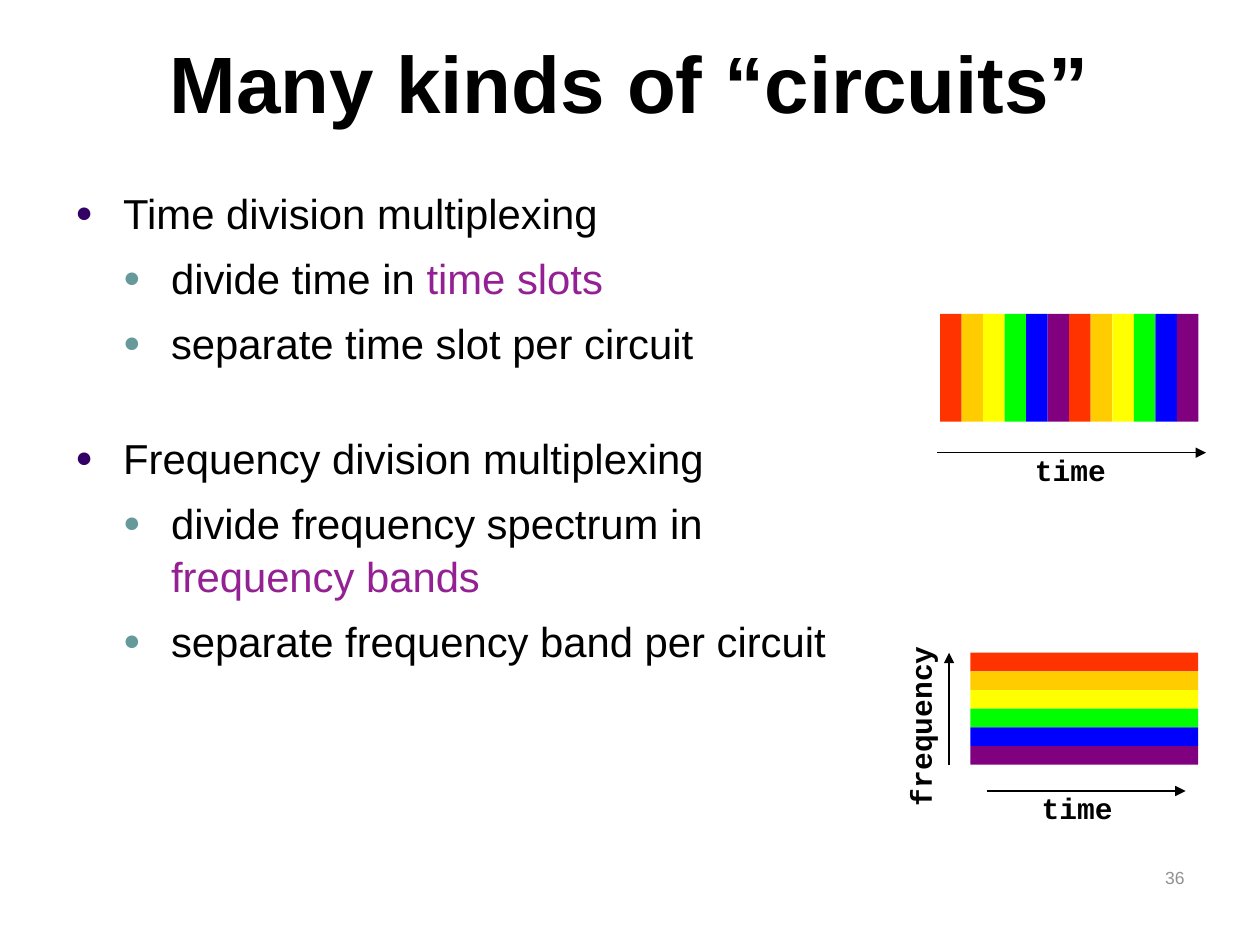
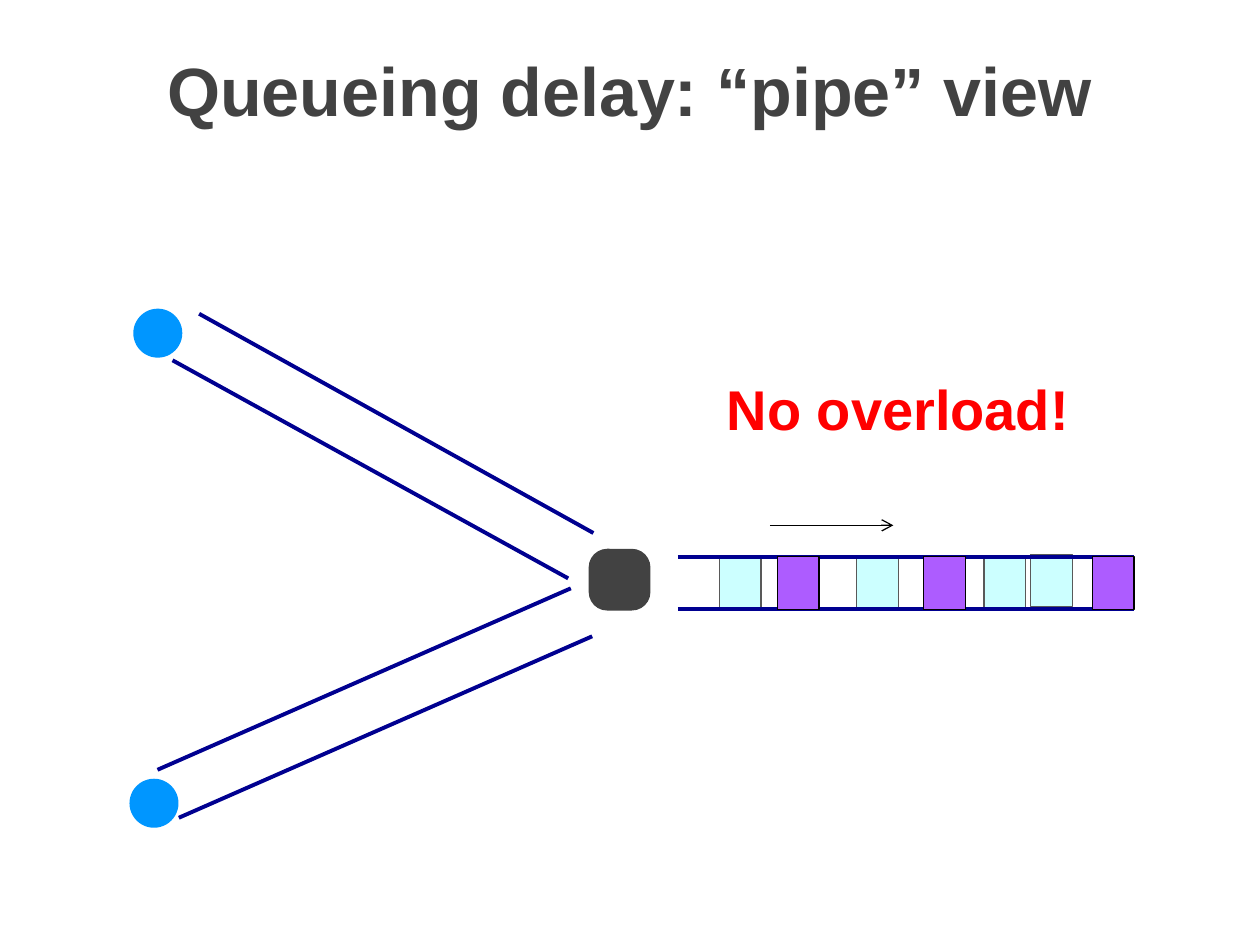
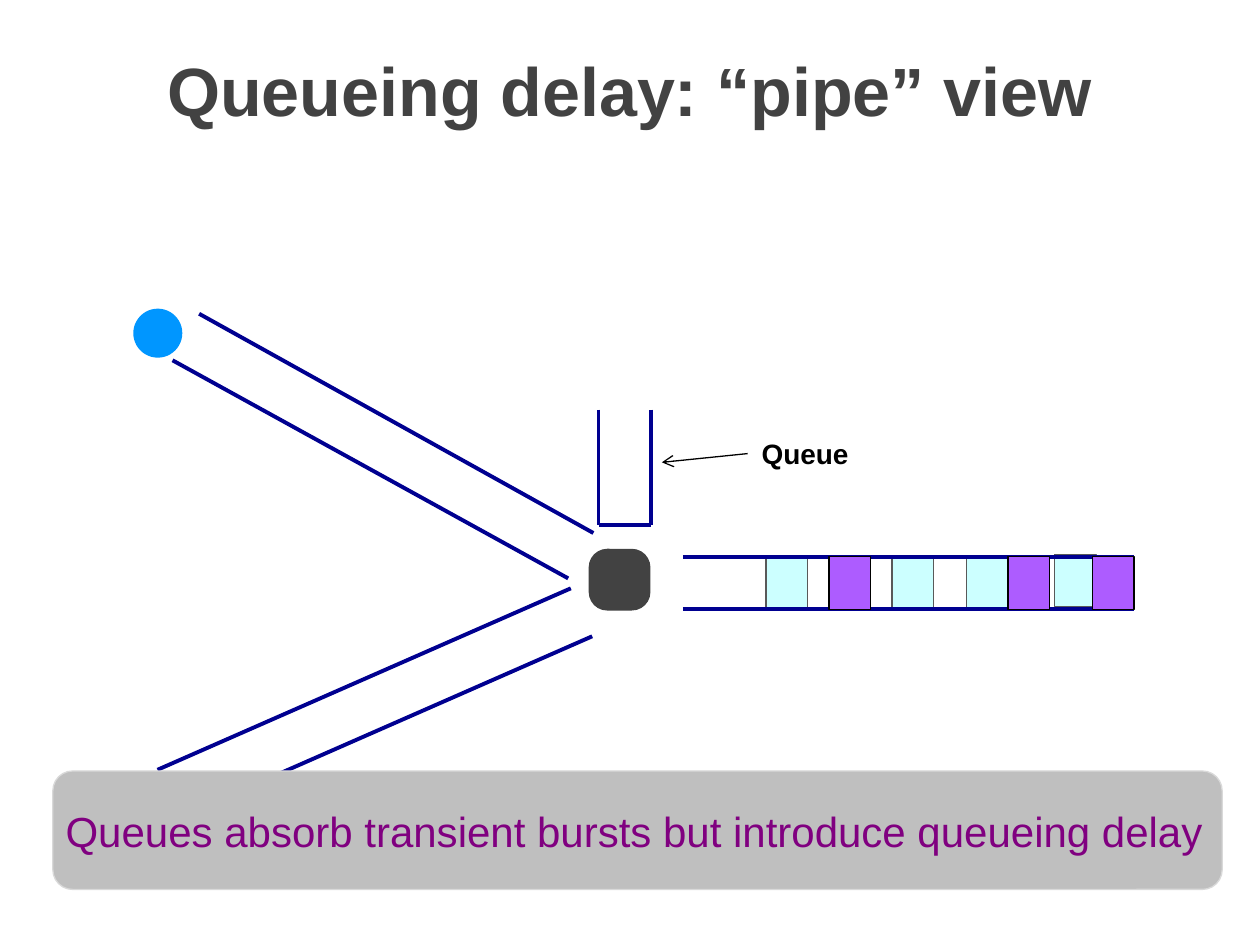
from lxml import etree
from pptx import Presentation
from pptx import util as u
from pptx.dml.color import RGBColor
from pptx.enum import shapes, text
from pptx.oxml.ns import qn

Pt = u.Pt
SHAPE = shapes.MSO_SHAPE
ALIGN = text.PP_ALIGN

# Shared look
BLACK = RGBColor(0x00, 0x00, 0x00)
CHARCOAL = RGBColor(0x42, 0x42, 0x42)
NUMBER_GRAY = RGBColor(0x91, 0x91, 0x91)
TERM_PURPLE = RGBColor(0x94, 0x21, 0x93)
INDIGO = RGBColor(0x33, 0x00, 0x66)
TEAL = RGBColor(0x66, 0x99, 0x99)
RED = RGBColor(0xFF, 0x00, 0x00)
NAVY = RGBColor(0x00, 0x00, 0x90)
HOST_BLUE = RGBColor(0x00, 0x96, 0xFF)
CYAN = RGBColor(0xCC, 0xFF, 0xFF)
CYAN_EDGE = RGBColor(0x59, 0x59, 0x59)
VIOLET = RGBColor(0xAD, 0x5C, 0xFF)
BANNER_FILL = RGBColor(0xBF, 0xBF, 0xBF)
BANNER_EDGE = RGBColor(0xD9, 0xD9, 0xD9)
BANNER_TEXT = RGBColor(0x80, 0x00, 0x80)
CHANNELS = [
    RGBColor(0xFF, 0x33, 0x00), RGBColor(0xFF, 0xCC, 0x00),
    RGBColor(0xFF, 0xFF, 0x00), RGBColor(0x00, 0xFF, 0x00),
    RGBColor(0x00, 0x00, 0xFF), RGBColor(0x80, 0x00, 0x80),
]
SANS = "Arial"
MONO = "Courier New"

# Boxes: left, top, width, height
TITLE_BOX = (0, 9.4, 720, 68.4)
BODY_BOX = (36, 102.2, 648, 381)
NUMBER_BOX = (516.2, 491.8, 167.8, 36)
NETWORK_BOX = (74, 176, 574, 297)
BANNER_BOX = (30.2, 440.6, 668.2, 67.7)
PACKET_WIDTH, PACKET_HEIGHT = 23.8, 30


# Basic parts
def style_run(run, size, color, bold=False, font=SANS):
    run.font.name = font
    run.font.size = Pt(size)
    run.font.bold = bold
    run.font.color.rgb = color


def add_text(page, box, words, size, color, bold=True, font=SANS,
             align=ALIGN.LEFT, anchor=text.MSO_ANCHOR.TOP, wrap=True):
    label = page.shapes.add_textbox(*map(Pt, box))
    frame = label.text_frame
    frame.word_wrap = wrap
    frame.vertical_anchor = anchor
    frame.text = words
    para = frame.paragraphs[0]
    para.alignment = align
    style_run(para.runs[0], size, color, bold, font)
    return label


def add_block(page, kind, box, fill, edge=None):
    block = page.shapes.add_shape(kind, *map(Pt, box))
    block.shadow.inherit = False
    block.fill.solid()
    block.fill.fore_color.rgb = fill
    if edge is None:
        block.line.fill.background()
    else:
        block.line.color.rgb = edge
        block.line.width = Pt(0.75)
    return block


def add_line(page, start, end, color=BLACK, width=0.75, head=None):
    line = page.shapes.add_connector(
        shapes.MSO_CONNECTOR.STRAIGHT, *map(Pt, (*start, *end)))
    line.line.color.rgb = color
    line.line.width = Pt(width)
    if head:
        etree.SubElement(line.line._get_or_add_ln(), qn("a:tailEnd"), type=head)
    etree.SubElement(line._element.spPr, qn("a:effectLst"))


def add_wall(page, start, end):
    add_line(page, start, end, NAVY, 2.25)


def add_title(page, words, size, color):
    add_text(page, TITLE_BOX, words, size, color, align=ALIGN.CENTER,
             anchor=text.MSO_ANCHOR.BOTTOM)


# Bulleted list
def add_bullet(para, level, color):
    props = para._p.get_or_add_pPr()
    props.set("marL", str(Pt(27.36 * (level + 1))))
    props.set("indent", str(-Pt(27.36)))
    fill = etree.SubElement(props, qn("a:buClr"))
    etree.SubElement(fill, qn("a:srgbClr"), val=str(color))
    etree.SubElement(props, qn("a:buSzPct"), val="70000")
    etree.SubElement(props, qn("a:buFont"), typeface=SANS)
    etree.SubElement(props, qn("a:buChar"), char="●")


def add_body(page, box, items):
    """Each item is level, space before, plain words, highlighted term."""
    frame = page.shapes.add_textbox(*map(Pt, box)).text_frame
    frame.word_wrap = True
    for index, (level, gap, words, term) in enumerate(items):
        para = frame.paragraphs[0] if index == 0 else frame.add_paragraph()
        para.text = words
        para.level = level
        para.line_spacing = 1.05
        if gap:
            para.space_before = Pt(gap)
        add_bullet(para, level, TEAL if level else INDIGO)
        style_run(para.runs[0], 23.9, BLACK)
        if term:
            span = para.add_run()
            span.text = term
            style_run(span, 23.9, TERM_PURPLE)


# Multiplexing diagrams
def add_axis_label(page, center, words):
    x, y = center
    return add_text(page, (x - 53.5, y - 14, 107, 28), words, 16.9, BLACK,
                    font=MONO, align=ALIGN.CENTER, wrap=False,
                    anchor=text.MSO_ANCHOR.MIDDLE)


def draw_time_slots(page, box):
    left, top, width, height = box
    slots = CHANNELS * 2
    slot = width / len(slots)
    for index, color in enumerate(slots):
        add_block(page, SHAPE.RECTANGLE,
                  (left + index * slot, top, slot, height), color)
    axis = top + height + 17.7
    add_line(page, (left - 1.5, axis), (left + width + 4.4, axis),
             head="triangle")
    add_axis_label(page, (left + 74.5, axis + 9.7), "time")


def draw_frequency_bands(page, box):
    left, top, width, height = box
    band = height / len(CHANNELS)
    for index, color in enumerate(CHANNELS):
        add_block(page, SHAPE.RECTANGLE,
                  (left, top + index * band, width, band), color)
    axis = top + height + 15
    add_line(page, (left + 9.4, axis), (left + width - 7.2, axis),
             head="triangle")
    add_axis_label(page, (left + 61, axis + 9.7), "time")
    add_line(page, (left - 12.2, top + height), (left - 12.2, top),
             head="triangle")
    label = add_axis_label(page, (left - 28.8, top + 42), "frequency")
    label.rotation = 270


# Pipe view
def draw_network(page, box, pipe_start, cyan_packets, violet_packets,
                 lower_host):
    left, top, width, height = box

    def at(x, y):
        return left + x, top + y

    # Incoming pipes
    for start, end in [
        ((39.8, 3.3), (265.1, 128.6)), ((24.6, 29.9), (250.7, 154.5)),
        ((16, 263.9), (252.2, 160.2)), ((28.2, 291.3), (264.4, 187.6)),
    ]:
        add_wall(page, at(*start), at(*end))

    # Hosts and router
    hosts = [(2.2, 0.4)] + ([(0, 269)] if lower_host else [])
    for host in hosts:
        add_block(page, SHAPE.OVAL, (*at(*host), 28, 28), HOST_BLUE)
    router = add_block(page, SHAPE.ROUNDED_RECTANGLE,
                       (*at(262.4, 137.6), 35.3, 35.3), CHARCOAL)
    router.adjustments[0] = 0.3

    # Outgoing pipe with its packets
    def add_packet(x, rise, fill, edge):
        add_block(page, SHAPE.RECTANGLE,
                  (*at(x, 142.2 - rise), PACKET_WIDTH, PACKET_HEIGHT),
                  fill, edge)

    for x, rise in cyan_packets:
        add_packet(x, rise, CYAN, CYAN_EDGE)
    for y in (142.2, 172):
        add_wall(page, at(pipe_start, y), at(width, y))
    for x in violet_packets:
        add_packet(x, 0, VIOLET, BLACK)


def draw_queue(page, box):
    left, top, width, height = box
    right, bottom = left + width, top + height
    add_wall(page, (left, top), (left, bottom))
    add_wall(page, (right, top), (right, bottom))
    add_wall(page, (left, bottom), (right, bottom))
    add_text(page, (right + 55, top + 12.2, 64.8, 26.6), "Queue", 16, BLACK,
             align=ALIGN.RIGHT, wrap=False)
    add_line(page, (right + 55, top + 25.2), (right + 6, top + 30.2),
             head="arrow")


def draw_banner(page, box, words):
    banner = add_block(page, SHAPE.ROUNDED_RECTANGLE, box,
                       BANNER_FILL, BANNER_EDGE)
    frame = banner.text_frame
    frame.word_wrap = True
    frame.margin_left, frame.margin_right = Pt(4), Pt(0)
    frame.vertical_anchor = text.MSO_ANCHOR.MIDDLE
    frame.text = words
    frame.paragraphs[0].alignment = ALIGN.LEFT
    style_run(frame.paragraphs[0].runs[0], 24, BANNER_TEXT)


# Slides
def build_circuits(page):
    add_title(page, "Many kinds of “circuits”", 45.7, BLACK)
    add_body(page, BODY_BOX, [
        (0, 0, "Time division multiplexing", ""),
        (1, 7, "divide time in ", "time slots"),
        (1, 7, "separate time slot per circuit", ""),
        (0, 35.8, "Frequency division multiplexing", ""),
        (1, 7, "divide frequency spectrum in \v", "frequency bands"),
        (1, 7, "separate frequency band per circuit", ""),
    ])
    draw_time_slots(page, (537.2, 179.4, 147.6, 61.6))
    draw_frequency_bands(page, (554.5, 373, 130.2, 64))
    add_text(page, NUMBER_BOX, "36", 10, NUMBER_GRAY, bold=False,
             align=ALIGN.RIGHT)


def build_pipe_view(page, *network):
    add_title(page, "Queueing delay: “pipe” view", 39, CHARCOAL)
    draw_network(page, NETWORK_BOX, *network)


def build_no_overload(page):
    build_pipe_view(page, 313.4,
                    [(515, 1.4), (488.3, 0.7), (415.6, 0), (337.1, 0)],
                    [370.2, 550.2, 453.8], True)
    add_text(page, (408.2, 210.2, 246.2, 46), "No overload!", 32, RED)
    add_line(page, (440, 300.2), (510.5, 300.2), head="arrow")


def build_queue(page):
    build_pipe_view(page, 316.2,
                    [(528.6, 1.4), (478.2, 0.7), (435.8, 0), (363.8, 0)],
                    [399.8, 550.2, 502], False)
    draw_queue(page, (342, 234, 30.2, 66))
    draw_banner(page, BANNER_BOX,
                "Queues absorb transient bursts but introduce queueing delay")


def main():
    deck = Presentation()
    deck.slide_width, deck.slide_height = Pt(720), Pt(540)
    for build in (build_circuits, build_no_overload, build_queue):
        build(deck.slides.add_slide(deck.slide_layouts[6]))
    deck.save("out.pptx")


if __name__ == "__main__":
    main()
